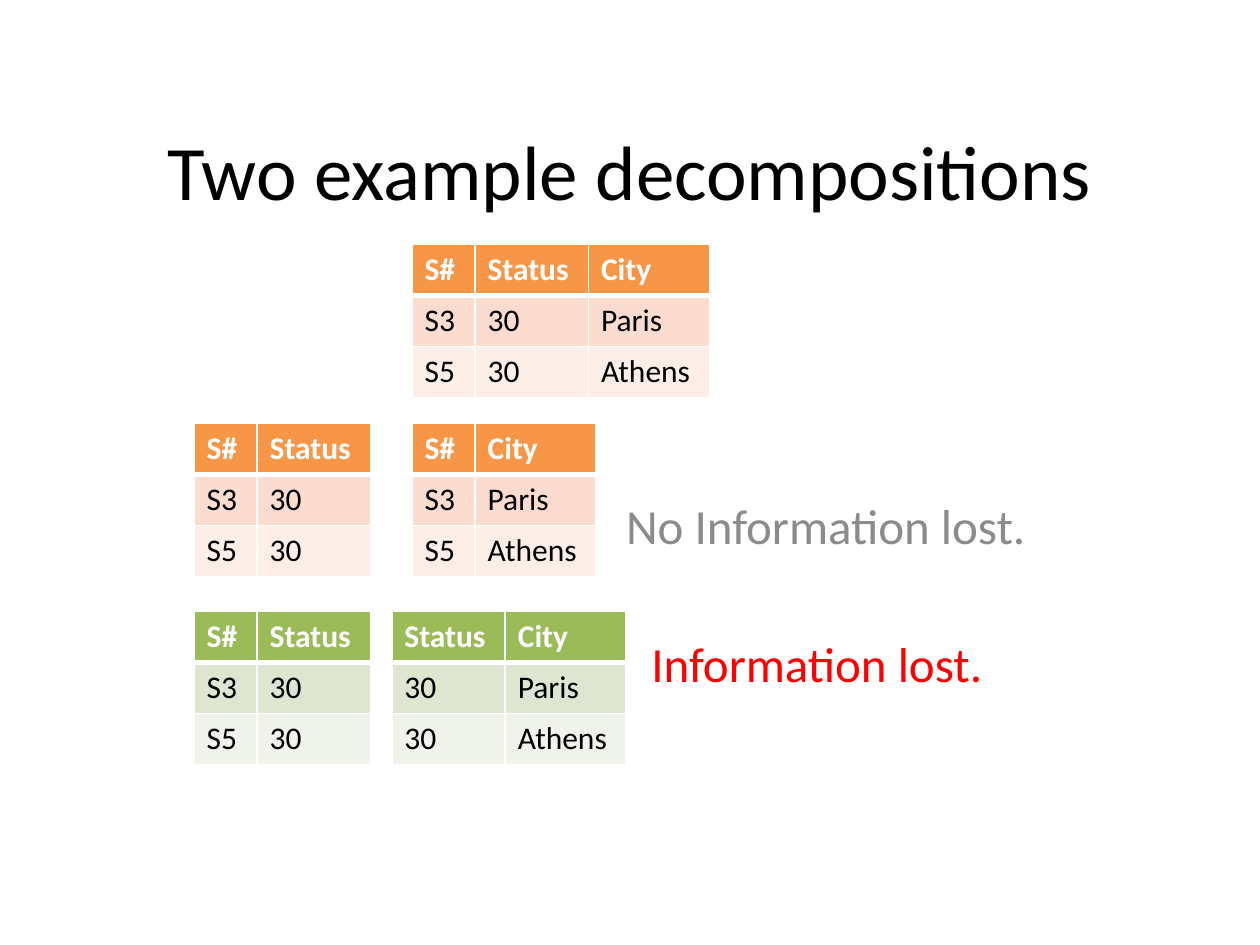
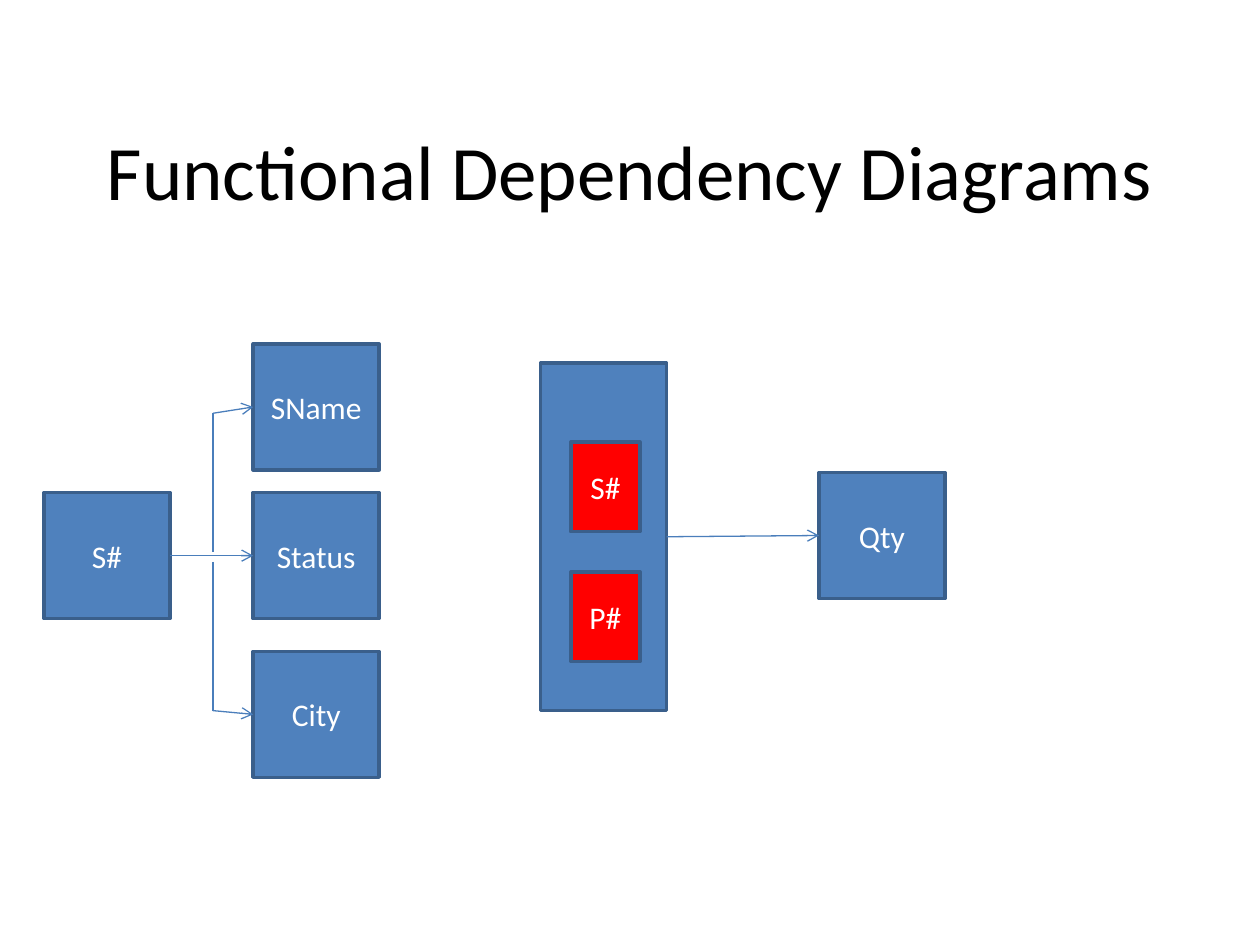
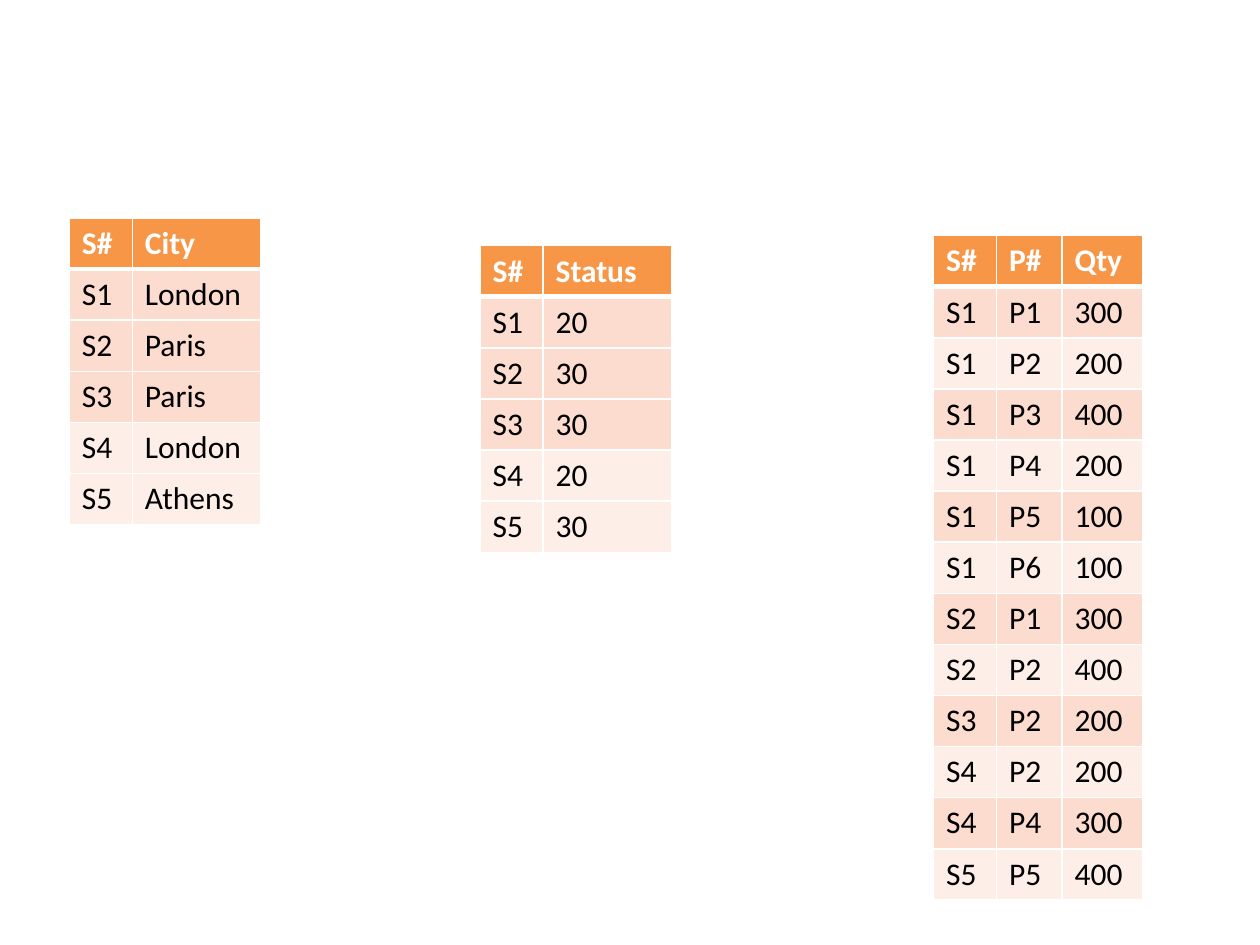
from lxml import etree
from pptx import Presentation
from pptx.dml.color import RGBColor
from pptx.enum import shapes, text
from pptx.oxml import ns
from pptx.util import Inches, Pt

FONT = "Calibri"
TITLE_ONLY, BLANK = 5, 6
ROW_HEIGHT = 0.4
COLORS = {
    "white": "FFFFFF",
    "black": "000000",
    "grey": "8B8B8B",
    "red": "FF0000",
    "blue": "4F81BD",
    "outline": "3A5F8B",
    "arrow": "4A7EBB",
}
ORANGE = {"header": "F79646", "dark": "FBDCCF", "light": "FDEEE8"}
GREEN = {"header": "9BBB59", "dark": "DEE6D1", "light": "EFF3E9"}
WIDTHS = {"S#": 0.5, "P#": 0.52, "Status": 0.9, "City": 0.96, "Qty": 0.64}
SUPPLIERS = ["S1", "S2", "S3", "S4", "S5"]
SHIPMENTS = [
    ("S1", "P1", "300"), ("S1", "P2", "200"), ("S1", "P3", "400"),
    ("S1", "P4", "200"), ("S1", "P5", "100"), ("S1", "P6", "100"),
    ("S2", "P1", "300"), ("S2", "P2", "400"), ("S3", "P2", "200"),
    ("S4", "P2", "200"), ("S4", "P4", "300"), ("S5", "P5", "400"),
]


def rgb(value):
    return RGBColor.from_string(value)


def style_text(frame, size, color, bold=False, align=text.PP_ALIGN.LEFT):
    for para in frame.paragraphs:
        para.alignment = align
        for span in para.runs:
            span.font.name = FONT
            span.font.size = Pt(size)
            span.font.bold = bold
            span.font.color.rgb = rgb(color)


def add_page(deck, title=None):
    page = deck.slides.add_slide(deck.slide_layouts[TITLE_ONLY if title else BLANK])
    if title:
        box = page.shapes.title
        box.left, box.top = Inches(0.5), Inches(0.84)
        box.width, box.height = Inches(9), Inches(1.02)
        box.text_frame.text = title
        box.text_frame.vertical_anchor = text.MSO_ANCHOR.MIDDLE
        style_text(box.text_frame, 44, COLORS["black"], align=text.PP_ALIGN.CENTER)
    return page


def add_note(page, left, top, words, color):
    box = page.shapes.add_textbox(Inches(left), Inches(top), Inches(3.6), Inches(0.48))
    frame = box.text_frame
    frame.word_wrap = True
    frame.margin_left = frame.margin_right = frame.margin_top = frame.margin_bottom = 0
    frame.text = words
    style_text(frame, 28, color)


def set_borders(cell, **widths):
    properties = cell._tc.get_or_add_tcPr()
    for side in "LRTB":
        line = etree.SubElement(properties, ns.qn(f"a:ln{side}"))
        line.set("w", str(Pt(widths.get(side, 0.96))))
        fill = etree.SubElement(line, ns.qn("a:solidFill"))
        etree.SubElement(fill, ns.qn("a:srgbClr")).set("val", COLORS["white"])


def add_relation(page, left, top, heads, records, palette=ORANGE, widths=None, dark_rows=None):
    widths = widths or [WIDTHS[head] for head in heads]
    rows = [heads, *records]
    if dark_rows is None:
        dark_rows = range(1, len(rows), 2)
    table = page.shapes.add_table(
        len(rows), len(heads), Inches(left), Inches(top),
        Inches(sum(widths)), Inches(ROW_HEIGHT * len(rows)),
    ).table
    table.horz_banding = False
    for column, width in zip(table.columns, widths):
        column.width = Inches(width)
    for r, values in enumerate(rows):
        table.rows[r].height = Inches(ROW_HEIGHT)
        header = r == 0
        shade = "header" if header else "dark" if r in dark_rows else "light"
        for c, value in enumerate(values):
            cell = table.cell(r, c)
            cell.text_frame.text = value
            style_text(cell.text_frame, 18, COLORS["white" if header else "black"], header)
            set_borders(cell, B=3 if header else 0.96, T=3 if r == 1 else 0.96)
            cell.fill.solid()
            cell.fill.fore_color.rgb = rgb(palette[shade])


def add_attribute(page, left, top, label="", width=1, height=1, color="blue"):
    box = page.shapes.add_shape(
        shapes.MSO_SHAPE.RECTANGLE, Inches(left), Inches(top), Inches(width), Inches(height))
    box.shadow.inherit = False
    box.fill.solid()
    box.fill.fore_color.rgb = rgb(COLORS[color])
    box.line.color.rgb = rgb(COLORS["outline"])
    box.line.width = Pt(2)
    if label:
        box.text_frame.text = label
        box.text_frame.vertical_anchor = text.MSO_ANCHOR.MIDDLE
        style_text(box.text_frame, 18, COLORS["white"], align=text.PP_ALIGN.CENTER)
    return box


def add_link(page, start, end, source=None, target=None):
    link = page.shapes.add_connector(
        shapes.MSO_CONNECTOR.STRAIGHT, *[Inches(value) for value in (*start, *end)])
    link.line.color.rgb = rgb(COLORS["arrow"])
    link.line.width = Pt(0.75)
    if source:
        link.begin_connect(source, 3)
    if target:
        link.end_connect(target, 1)
        tail = etree.SubElement(link.line._get_or_add_ln(), ns.qn("a:tailEnd"))
        tail.set("type", "arrow")
    etree.SubElement(link._element.spPr, ns.qn("a:effectLst"))


def add_supplier_diagram(page, left, top):
    key = add_attribute(page, left, top + 1.18, "S#")
    right = left + 1.66
    name, status, city = [
        add_attribute(page, right, top + offset, label)
        for label, offset in (("SName", 0), ("Status", 1.18), ("City", 2.44))
    ]
    trunk = left + 1.34
    add_link(page, (left + 1, top + 1.68), (right, top + 1.68), key, status)
    for target, start, end, tip in ((name, 1.65, 0.55, 0.5), (city, 1.73, 2.91, 2.94)):
        add_link(page, (trunk, top + start), (trunk, top + end))
        add_link(page, (trunk, top + end), (right, top + tip), target=target)


def add_shipment_diagram(page, left, top):
    panel = add_attribute(page, left, top, height=2.76)
    for label, offset in (("S#", 0.63), ("P#", 1.66)):
        add_attribute(page, left + 0.24, top + offset, label, 0.55, 0.71, "red")
    quantity = add_attribute(page, left + 2.21, top + 0.87, "Qty")
    add_link(page, (left + 1, top + 1.38), (left + 2.21, top + 1.37), panel, quantity)


def build_decompositions(deck):
    page = add_page(deck, "Two example decompositions")
    status = [("S3", "30"), ("S5", "30")]
    city = [("S3", "Paris"), ("S5", "Athens")]
    full = [("S3", "30", "Paris"), ("S5", "30", "Athens")]
    add_relation(page, 3.27, 1.94, ("S#", "Status", "City"), full)
    for top, palette in ((3.36, ORANGE), (4.85, GREEN)):
        add_relation(page, 1.54, top, ("S#", "Status"), status, palette)
    add_relation(page, 3.27, 3.36, ("S#", "City"), city)
    add_relation(page, 3.11, 4.85, ("Status", "City"), [record[1:] for record in full], GREEN)
    add_note(page, 4.97, 3.93, "No Information lost.", COLORS["grey"])
    add_note(page, 5.17, 5.03, "Information lost.", COLORS["red"])


def build_dependencies(deck):
    page = add_page(deck, "Functional Dependency Diagrams")
    add_supplier_diagram(page, 0.35, 2.73)
    add_shipment_diagram(page, 4.29, 2.88)


def build_relations(deck):
    page = add_page(deck)
    add_relation(page, 7.41, 1.87, ("S#", "P#", "Qty"), SHIPMENTS)
    cities = ["London", "Paris", "Paris", "London", "Athens"]
    statuses = ["20", "30", "30", "20", "30"]
    for left, top, head, values in ((0.55, 1.73, "City", cities), (3.81, 1.95, "Status", statuses)):
        add_relation(page, left, top, ("S#", head), zip(SUPPLIERS, values),
                     widths=(0.5, 1.02), dark_rows=range(1, 4))


def main():
    deck = Presentation()
    deck.slide_width, deck.slide_height = Inches(10), Inches(7.5)
    build_decompositions(deck)
    build_dependencies(deck)
    build_relations(deck)
    deck.save("out.pptx")


if __name__ == "__main__":
    main()
